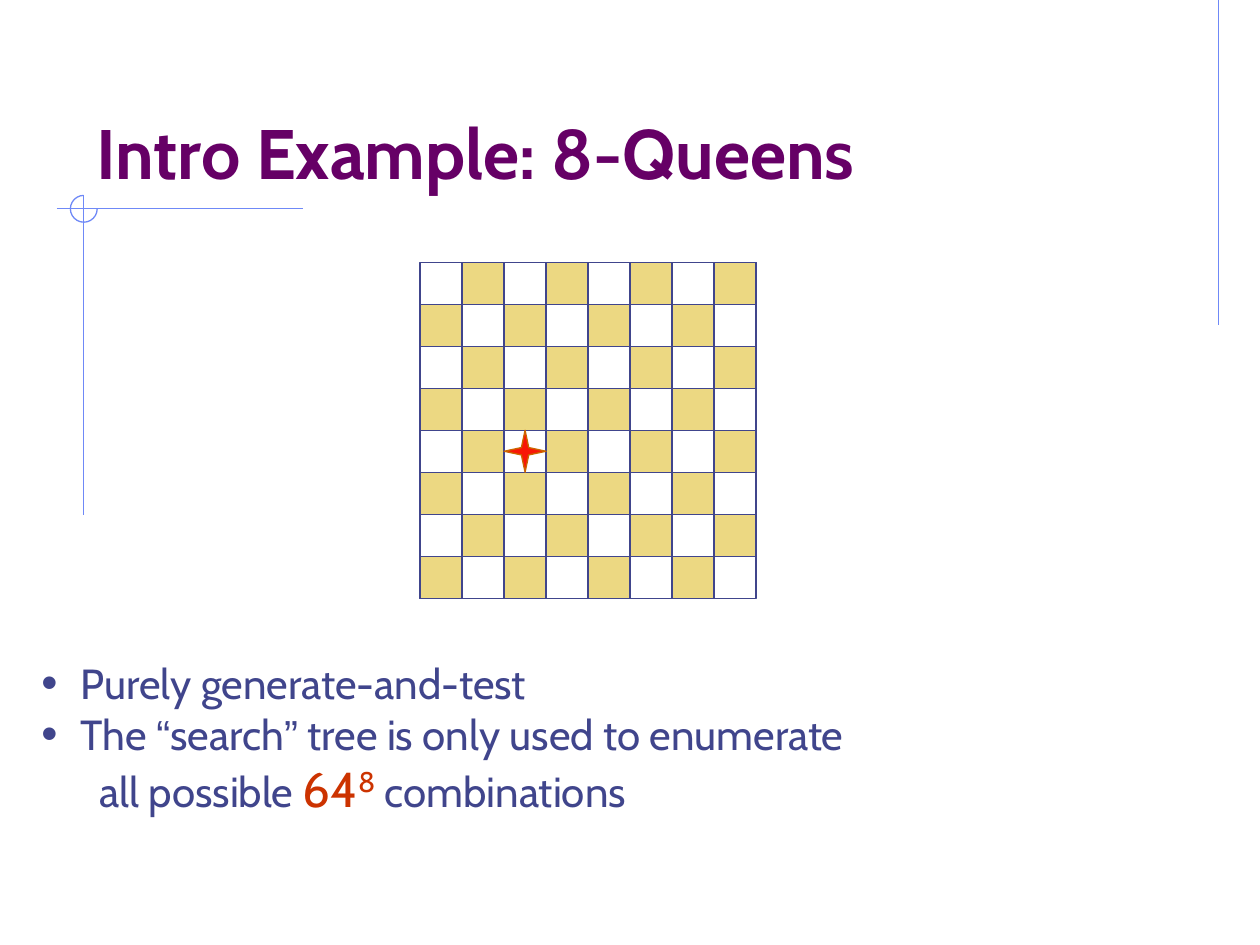
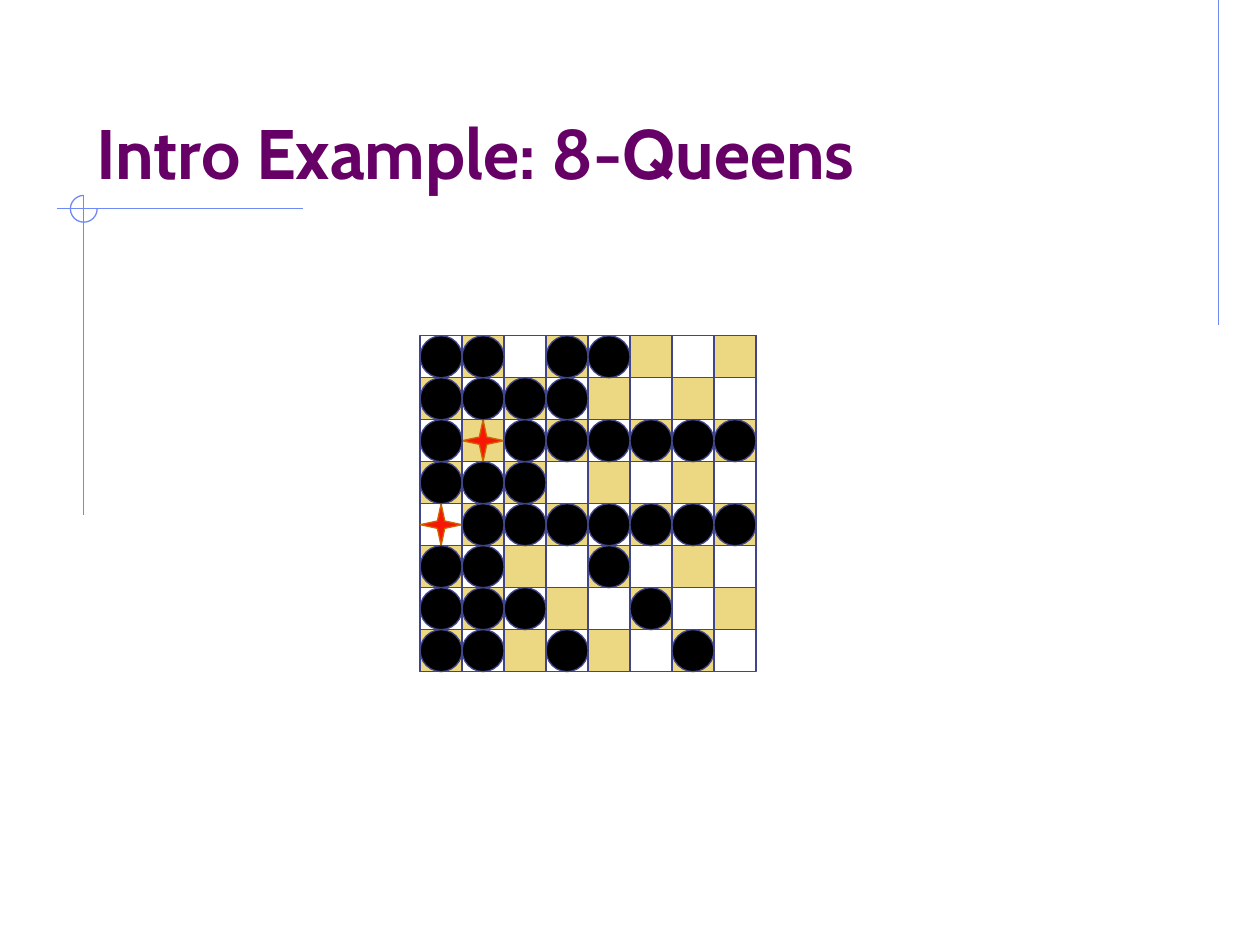
from itertools import product

from lxml import etree
from pptx import Presentation
from pptx.dml.color import RGBColor
from pptx.enum import shapes as sh, text as tx
from pptx.oxml import ns
from pptx.util import Cm, Pt

PLUM = RGBColor(0x66, 0x00, 0x66)
NAVY = RGBColor(0x40, 0x45, 0x8C)
SKY = RGBColor(0x6F, 0x89, 0xF7)
SAND = RGBColor(0xEC, 0xD8, 0x82)
RED = RGBColor(0xF8, 0x17, 0x06)
RUST = RGBColor(0xCC, 0x66, 0x00)
BRICK = RGBColor(0xCC, 0x33, 0x00)
BLACK = RGBColor(0, 0, 0)

FONT = "Cabin"
THIN = Pt(0.75)
SIDE = 8  # squares along one edge of the board

HEAD = dict(name=FONT, size=Pt(40), bold=True, color=PLUM)
BODY = dict(name=FONT, size=Pt(24), color=NAVY)
QUOTE = {**BODY, "name": "Arial"}
POWER = dict(name=FONT, size=Pt(28), color=BRICK)


def add_run(para, words, form, base=0):
    run = para.add_run()
    run.text = words
    for key, val in form.items():
        if key == "color":
            run.font.color.rgb = val
        else:
            setattr(run.font, key, val)
    if base:
        run.font._element.set("baseline", str(base * 1000))


def place(item, box):
    for key, val in zip(("left", "top", "width", "height"), box):
        setattr(item, key, Cm(val))


def add_part(home, kind, box, fill, line):
    part = home.add_shape(kind, *map(Cm, box))
    part.shadow.inherit = False
    if fill is None:
        part.fill.background()
    else:
        part.fill.solid()
        part.fill.fore_color.rgb = fill
    part.line.color.rgb = line
    part.line.width = THIN
    return part


def add_line(home, x1, y1, x2, y2):
    line = home.add_connector(sh.MSO_CONNECTOR.STRAIGHT, *map(Cm, (x1, y1, x2, y2)))
    line.line.color.rgb = SKY
    line.line.width = THIN
    etree.SubElement(line.element.spPr, ns.qn("a:effectLst"))
    return line


def set_frame(slide, layout):
    """Draw the corner lines once and hand them to the layout."""
    x, y, rad = 1.69, 4.21, 0.27
    home = slide.shapes
    arc = add_part(home, sh.MSO_SHAPE.ARC, (x - rad, y - rad, 2 * rad, 2 * rad), None, SKY)
    arc.adjustments[0] = 0
    arc.adjustments[1] = 162  # 270 degrees
    parts = [
        add_line(home, 24.56, 0, 24.56, 6.56),
        add_line(home, 1.15, y, 6.1, y),
        add_line(home, x, y - rad, x, 10.39),
        arc,
    ]
    for part in parts:
        layout.shapes.element.append(part.element)


def set_title(slide, words):
    title = slide.shapes.title
    place(title, (1.69, 0.85, 21.59, 3.18))
    frame = title.text_frame
    frame.auto_size = tx.MSO_AUTO_SIZE.NONE
    frame.vertical_anchor = tx.MSO_ANCHOR.BOTTOM
    para = frame.paragraphs[0]
    para.alignment = tx.PP_ALIGN.LEFT
    add_run(para, words, HEAD)


def set_mark(para, left, hang, mark):
    """Indent a line, with a bullet if a mark is given."""
    prop = para._p.get_or_add_pPr()
    prop.set("marL", str(Cm(left)))
    prop.set("indent", str(-Cm(hang)))
    if not mark:
        etree.SubElement(prop, ns.qn("a:buNone"))
        return
    tint = etree.SubElement(prop, ns.qn("a:buClr"))
    etree.SubElement(tint, ns.qn("a:srgbClr")).set("val", str(NAVY))
    etree.SubElement(prop, ns.qn("a:buSzPct")).set("val", "110000")
    etree.SubElement(prop, ns.qn("a:buChar")).set("char", mark)


def set_list(body, box, rows):
    place(body, box)
    frame = body.text_frame
    frame.word_wrap = True
    frame.auto_size = tx.MSO_AUTO_SIZE.NONE
    frame.vertical_anchor = tx.MSO_ANCHOR.TOP
    for num, (mark, runs) in enumerate(rows):
        para = frame.add_paragraph() if num else frame.paragraphs[0]
        para.space_before = Pt(0)
        set_mark(para, *((0.79, 0.79) if mark else (1.17, 0)), mark)
        for run in runs:
            add_run(para, *run)


def attacked(row, col, queens):
    """Tell whether a free square shares a line with any queen."""
    return (row, col) not in queens and any(
        row == r or col == c or abs(row - r) == abs(col - c) for r, c in queens)


def add_board(slide, box, queens, block=False):
    left, top, side = box
    step = side / SIDE

    def cell(row, col):
        return left + col * step, top + row * step, step, step

    grid = list(product(range(SIDE), repeat=2))

    # Board and dark squares
    board = slide.shapes.add_group_shape().shapes
    add_part(board, sh.MSO_SHAPE.RECTANGLE, (left, top, side, side), None, NAVY)
    for row, col in grid:
        if (row + col) % 2:
            add_part(board, sh.MSO_SHAPE.RECTANGLE, cell(row, col), SAND, NAVY)

    # Queens
    for spot in queens:
        add_part(slide.shapes, sh.MSO_SHAPE.STAR_4_POINT, cell(*spot), RED, RUST)

    # Squares no longer allowed
    if block:
        discs = slide.shapes.add_group_shape().shapes
        for row, col in grid:
            if attacked(row, col, queens):
                add_part(discs, sh.MSO_SHAPE.OVAL, cell(row, col), BLACK, NAVY)


def main():
    deck = Presentation()
    deck.slide_width, deck.slide_height = Cm(25.4), Cm(19.05)
    layout = deck.slide_layouts[1]
    for item in list(layout.placeholders):
        if item.placeholder_format.idx > 1:
            layout.shapes.element.remove(item.element)

    first, second = (deck.slides.add_slide(layout) for _ in range(2))
    set_frame(first, layout)
    for slide in (first, second):
        set_title(slide, "Intro Example: 8-Queens")

    # One queen, and the cost of the search
    add_board(first, (8.47, 5.29, 6.77), [(4, 2)])
    set_list(first.placeholders[1], (0.58, 13.13, 23.55, 3.48), [
        ("•", [("Purely generate-and-test", BODY)]),
        ("•", [("The ", BODY), ("“", QUOTE), ("search", BODY), ("”", QUOTE),
               (" tree is only used to enumerate", BODY)]),
        ("", [("all possible ", BODY), ("64", POWER), ("8", POWER, 30),
              (" combinations", BODY)]),
    ])

    # Two queens and the squares they attack
    body = second.placeholders[1].element
    body.getparent().remove(body)
    add_board(second, (8.47, 6.77, 6.77), [(4, 0), (2, 1)], block=True)

    deck.save("out.pptx")


if __name__ == "__main__":
    main()
